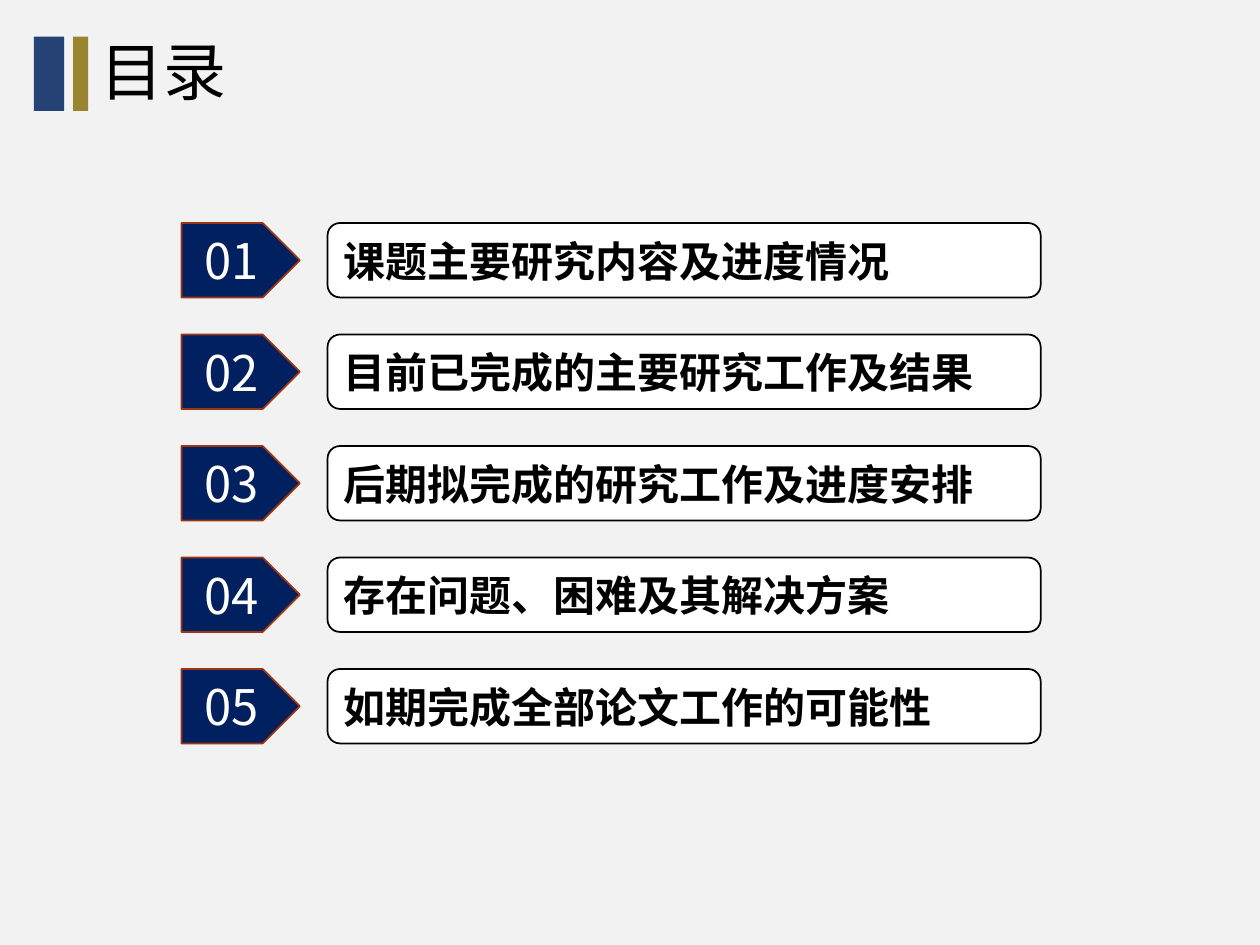
import pptx
import pptx.dml.color
import pptx.enum.shapes
import pptx.enum.text
import pptx.oxml.ns
import pptx.util
from lxml import etree

RGBColor = pptx.dml.color.RGBColor
SHAPE = pptx.enum.shapes.MSO_SHAPE
ALIGN = pptx.enum.text.PP_ALIGN
Inches = pptx.util.Inches

BACKGROUND = RGBColor(0xF2, 0xF2, 0xF2)
BLUE = RGBColor(0x25, 0x43, 0x75)
GOLD = RGBColor(0x99, 0x85, 0x30)
NAVY = RGBColor(0x00, 0x20, 0x60)
RUST = RGBColor(0x9C, 0x35, 0x11)
BLACK = RGBColor(0, 0, 0)
WHITE = RGBColor(0xFF, 0xFF, 0xFF)

CHINESE_FONT = "Noto Sans CJK SC"

# Grid: every element has the same height, rows are half a height apart
ROW_HEIGHT = 0.59
ROW_PITCH = 1.5 * ROW_HEIGHT
FIRST_ROW = 1.77
NUMBER_LEFT, NUMBER_WIDTH = 1.44, 0.94
TOPIC_LEFT, TOPIC_WIDTH = 2.6, 5.66

TOPICS = [
    "课题主要研究内容及进度情况",
    "目前已完成的主要研究工作及结果",
    "后期拟完成的研究工作及进度安排",
    "存在问题、困难及其解决方案",
    "如期完成全部论文工作的可能性",
]


def set_text(shape, text, size, font, color, alignment, bold=False):
    frame = shape.text_frame
    frame.text = text
    frame.word_wrap = True
    frame.vertical_anchor = pptx.enum.text.MSO_ANCHOR.MIDDLE
    paragraph = frame.paragraphs[0]
    paragraph.alignment = alignment
    run = paragraph.runs[0]
    run.font.size = pptx.util.Pt(size)
    run.font.name = font
    run.font.bold = bold
    run.font.color.rgb = color
    # East Asian characters take their own typeface
    east_asian = etree.SubElement(run.font._element, pptx.oxml.ns.qn("a:ea"))
    east_asian.set("typeface", CHINESE_FONT)


def add_box(slide, kind, left, top, width, fill, line=None):
    shape = slide.shapes.add_shape(
        kind, Inches(left), Inches(top), Inches(width), Inches(ROW_HEIGHT))
    shape.shadow.inherit = False
    shape.fill.solid()
    shape.fill.fore_color.rgb = fill
    if line is None:
        shape.line.fill.background()
    else:
        shape.line.color.rgb = line
        shape.line.width = pptx.util.Pt(1)
    return shape


def add_heading(slide, text):
    add_box(slide, SHAPE.RECTANGLE, 0.27, 0.29, 0.24, BLUE)
    add_box(slide, SHAPE.RECTANGLE, 0.58, 0.29, 0.12, GOLD)
    title = slide.shapes.title
    title.left, title.top = Inches(0.7), Inches(0.3)
    title.width, title.height = Inches(4.04), Inches(ROW_HEIGHT)
    set_text(title, text, 36, "Arial", BLACK, ALIGN.LEFT)
    title.text_frame.auto_size = pptx.enum.text.MSO_AUTO_SIZE.NONE
    title.text_frame.paragraphs[0].line_spacing = 0.9


def add_topic(slide, index, topic):
    top = FIRST_ROW + index * ROW_PITCH
    number = add_box(slide, SHAPE.PENTAGON, NUMBER_LEFT, top, NUMBER_WIDTH, NAVY, RUST)
    set_text(number, f"{index + 1:02d}", 28, CHINESE_FONT, WHITE, ALIGN.CENTER)
    box = add_box(slide, SHAPE.ROUNDED_RECTANGLE, TOPIC_LEFT, top, TOPIC_WIDTH, WHITE, BLACK)
    set_text(box, topic, 24, "Calibri", BLACK, ALIGN.LEFT, bold=True)


def main():
    presentation = pptx.Presentation()
    presentation.slide_width = Inches(10)
    presentation.slide_height = Inches(7.5)
    slide = presentation.slides.add_slide(presentation.slide_layouts[5])
    slide.background.fill.solid()
    slide.background.fill.fore_color.rgb = BACKGROUND

    add_heading(slide, "目录")
    for index, topic in enumerate(TOPICS):
        add_topic(slide, index, topic)

    presentation.save("out.pptx")


main()
